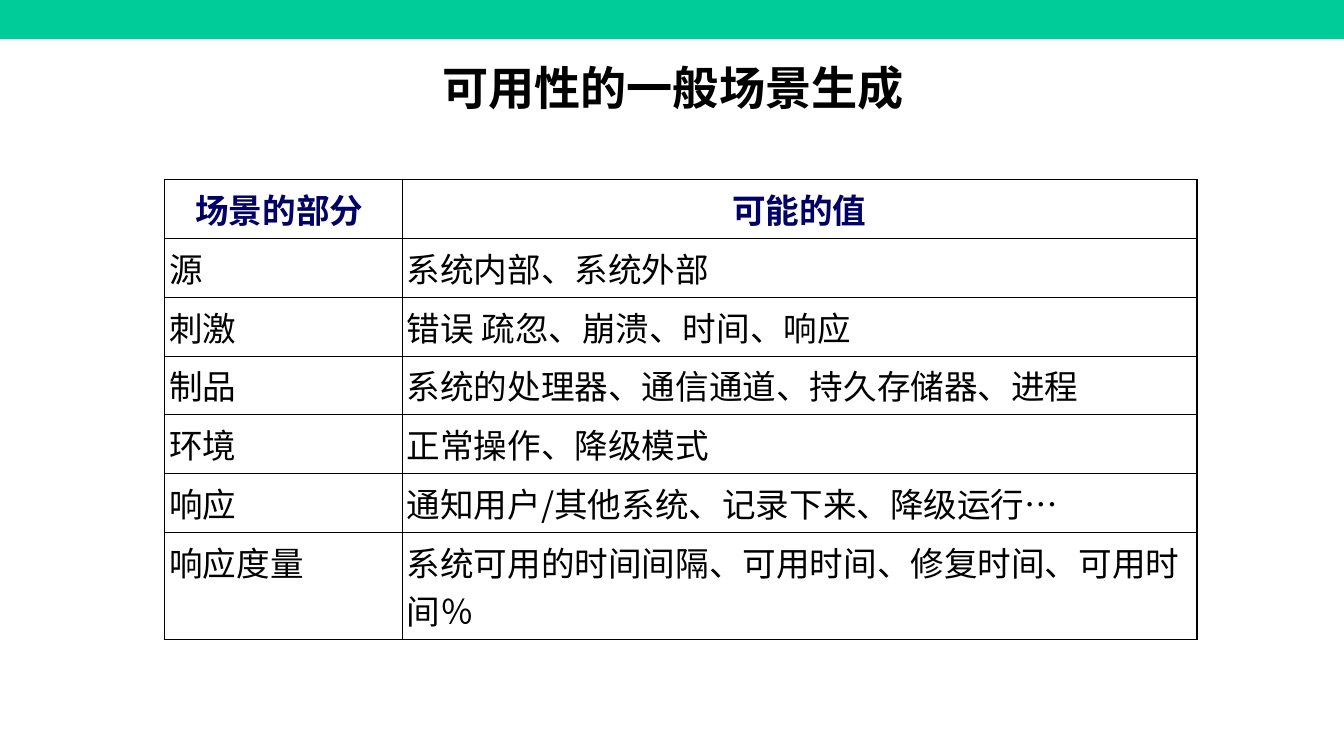
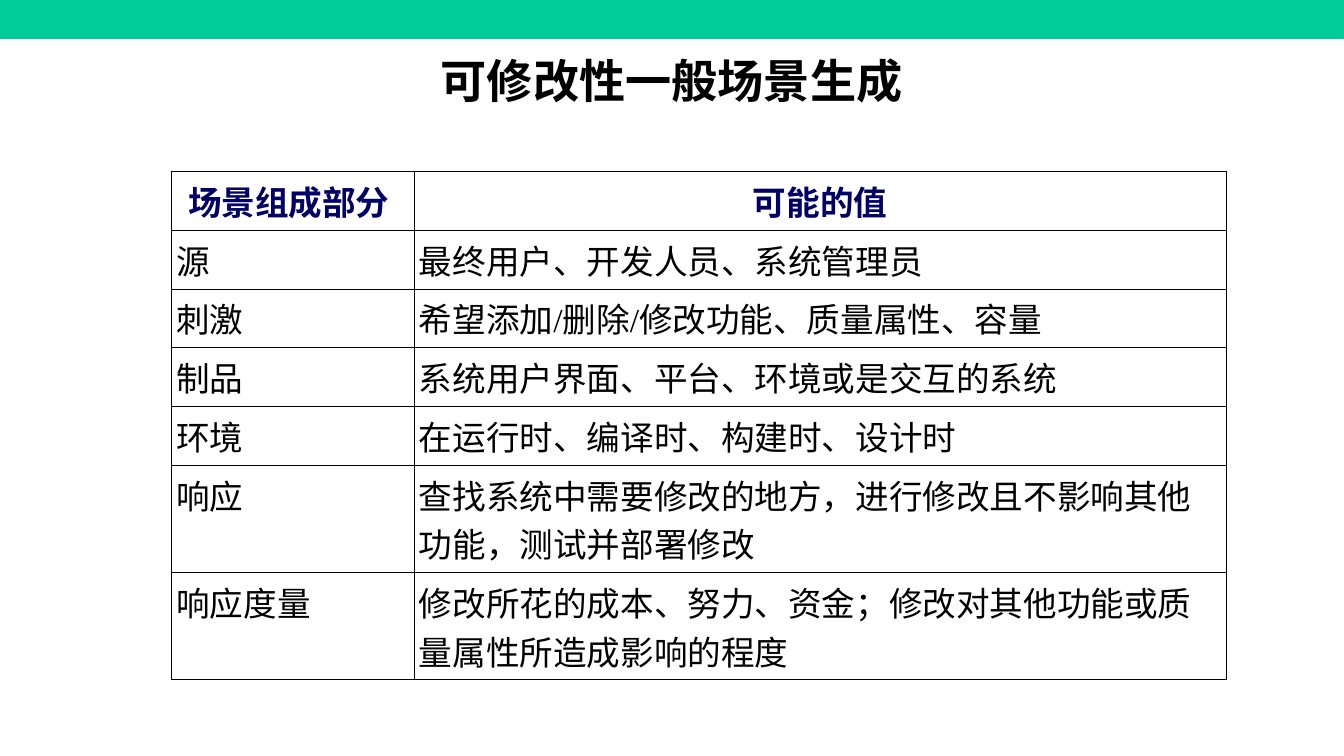
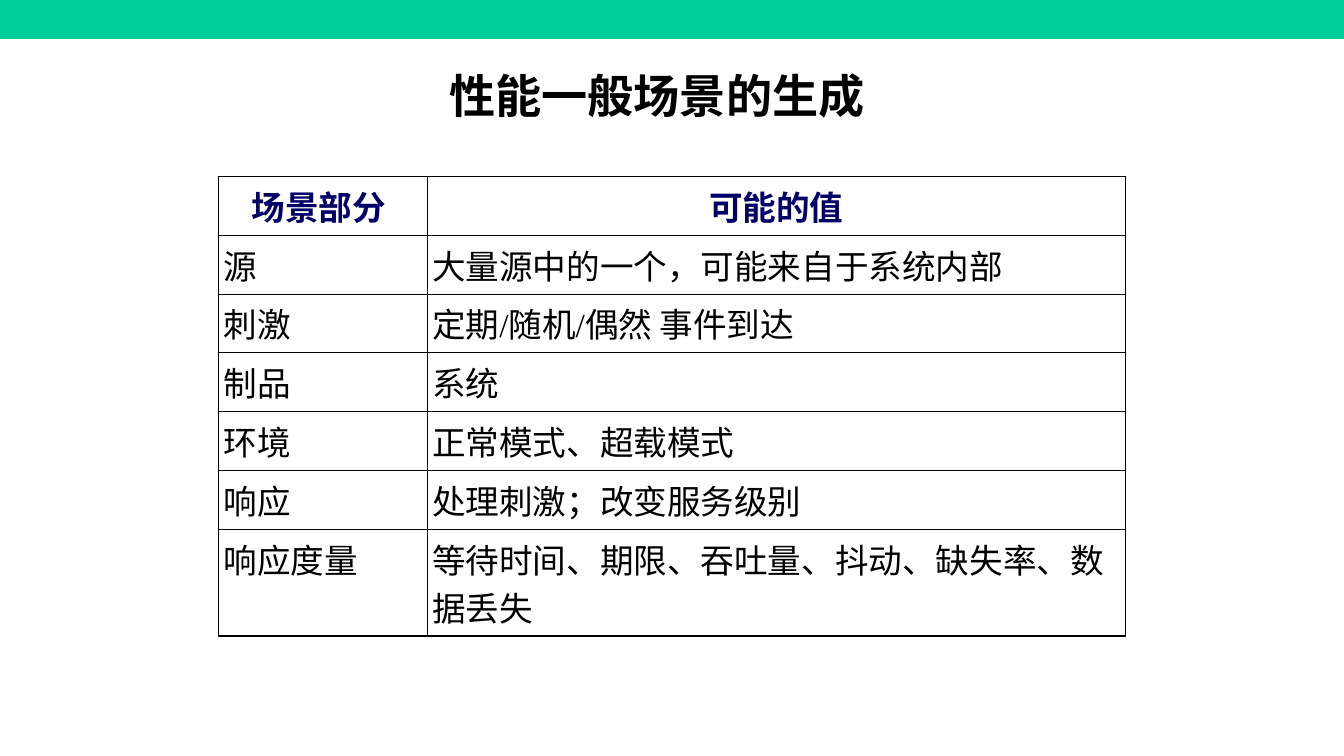
from dataclasses import dataclass

from lxml import etree
from pptx import Presentation
from pptx.dml.color import RGBColor
from pptx.enum import shapes, text
from pptx.oxml import ns
from pptx.util import Pt


@dataclass(frozen=True)
class Theme:
    band: str = "00CC99"
    ink: str = "000000"
    head: str = "000066"
    latin: str = "Times New Roman"
    asian: str = "Noto Sans CJK SC"
    title: float = 33
    body: float = 24
    thick: float = 1.08
    thin: float = 0.45
    pad: float = 3.6
    row: float = 42
    tall: float = 76.5
    share: float = 0.23


T = Theme()
WIDE, HIGH = 960.5, 540
PARTS = ["源", "刺激", "制品", "环境", "响应", "响应度量"]


def style(para, size, color, bold, center, latin=T.latin):
    font = para.font
    font.size, font.bold, font.name = Pt(size), bold, latin
    font.color.rgb = RGBColor.from_string(color)
    para.alignment = text.PP_ALIGN.CENTER if center else text.PP_ALIGN.LEFT
    # East Asian typeface follows the Latin one
    props = para._p.pPr.find(ns.qn("a:defRPr"))
    etree.SubElement(props, ns.qn("a:ea"), typeface=T.asian)


def band(slide):
    bar = slide.shapes.add_shape(
        shapes.MSO_SHAPE.RECTANGLE, 0, 0, Pt(WIDE), Pt(27.4))
    bar.shadow.inherit = False
    bar.fill.solid()
    bar.fill.fore_color.rgb = RGBColor.from_string(T.band)
    bar.line.color.rgb = RGBColor.from_string(T.band)
    bar.line.width = Pt(0.75)


def title(slide, words, left, top):
    box = slide.shapes.add_textbox(Pt(left), Pt(top), Pt(864), Pt(90))
    frame = box.text_frame
    frame.word_wrap = True
    frame.vertical_anchor = text.MSO_ANCHOR.TOP
    para = frame.paragraphs[0]
    para.text = words
    para.line_spacing = 0.9
    style(para, T.title, T.ink, True, True)


def borders(cell, outer):
    """Draw the four sides; outer holds flags for left, right, top, bottom."""
    props = cell._tc.get_or_add_tcPr()
    for i, (side, edge) in enumerate(zip("LRTB", outer)):
        line = etree.Element(
            ns.qn("a:ln" + side), w=str(Pt(T.thick if edge else T.thin)))
        fill = etree.SubElement(line, ns.qn("a:solidFill"))
        etree.SubElement(fill, ns.qn("a:srgbClr"), val=T.ink)
        props.insert(i, line)


def grid(slide, rows, left, top, width, wraps, latin):
    """Two-column table whose last `wraps` rows hold two lines."""
    last = len(rows) - 1
    tall = [T.tall if r > last - wraps else T.row for r in range(last + 1)]
    table = slide.shapes.add_table(
        len(rows), 2, Pt(left), Pt(top), Pt(width), Pt(sum(tall))).table
    table.first_row = table.horz_banding = False
    for col, share in zip(table.columns, (T.share, 1 - T.share)):
        col.width = Pt(width * share)
    for r, pair in enumerate(rows):
        table.rows[r].height = Pt(tall[r])
        for c, words in enumerate(pair):
            cell = table.cell(r, c)
            cell.margin_left = cell.margin_right = Pt(T.pad)
            cell.margin_top = cell.margin_bottom = Pt(T.pad)
            cell.fill.background()
            borders(cell, (c == 0, c == 1, r == 0, r == last))
            para = cell.text_frame.paragraphs[0]
            para.text = words
            head = r == 0
            style(para, T.body, T.head if head else T.ink, head, head, latin)


def scene(deck, name, spot, label, values, box, wraps, latin=T.latin):
    slide = deck.slides.add_slide(deck.slide_layouts[6])
    band(slide)
    title(slide, name, *spot)
    rows = [(label, "可能的值"), *zip(PARTS, values)]
    grid(slide, rows, *box, wraps, latin)


def main():
    deck = Presentation()
    deck.slide_width, deck.slide_height = Pt(WIDE), Pt(HIGH)

    # Availability
    scene(deck, "可用性的一般场景生成", (49, 43.2), "场景的部分 ", [
        "系统内部、系统外部",
        "错误 疏忽、崩溃、时间、响应",
        "系统的处理器、通信通道、持久存储器、进程",
        "正常操作、降级模式",
        "通知用户/其他系统、记录下来、降级运行…",
        "系统可用的时间间隔、可用时间、修复时间、可用时间％",
    ], (117.4, 128.2, 738), 1, T.asian)

    # Modifiability
    scene(deck, "可修改性一般场景生成", (48, 38.2), "场景组成部分 ", [
        "最终用户、开发人员、系统管理员",
        "希望添加/删除/修改功能、质量属性、容量",
        "系统用户界面、平台、环境或是交互的系统",
        "在运行时、编译时、构建时、设计时",
        "查找系统中需要修改的地方，进行修改且不影响其他功能，测试并部署修改",
        "修改所花的成本、努力、资金；修改对其他功能或质量属性所造成影响的程度",
    ], (122.4, 122.4, 754), 2)

    # Performance
    scene(deck, "性能一般场景的生成", (37.5, 49), "场景部分 ", [
        "大量源中的一个，可能来自于系统内部",
        "定期/随机/偶然 事件到达",
        "系统",
        "正常模式、超载模式",
        "处理刺激；改变服务级别",
        "等待时间、期限、吞吐量、抖动、缺失率、数据丢失",
    ], (156.2, 126, 648), 1)

    deck.save("out.pptx")


if __name__ == "__main__":
    main()
